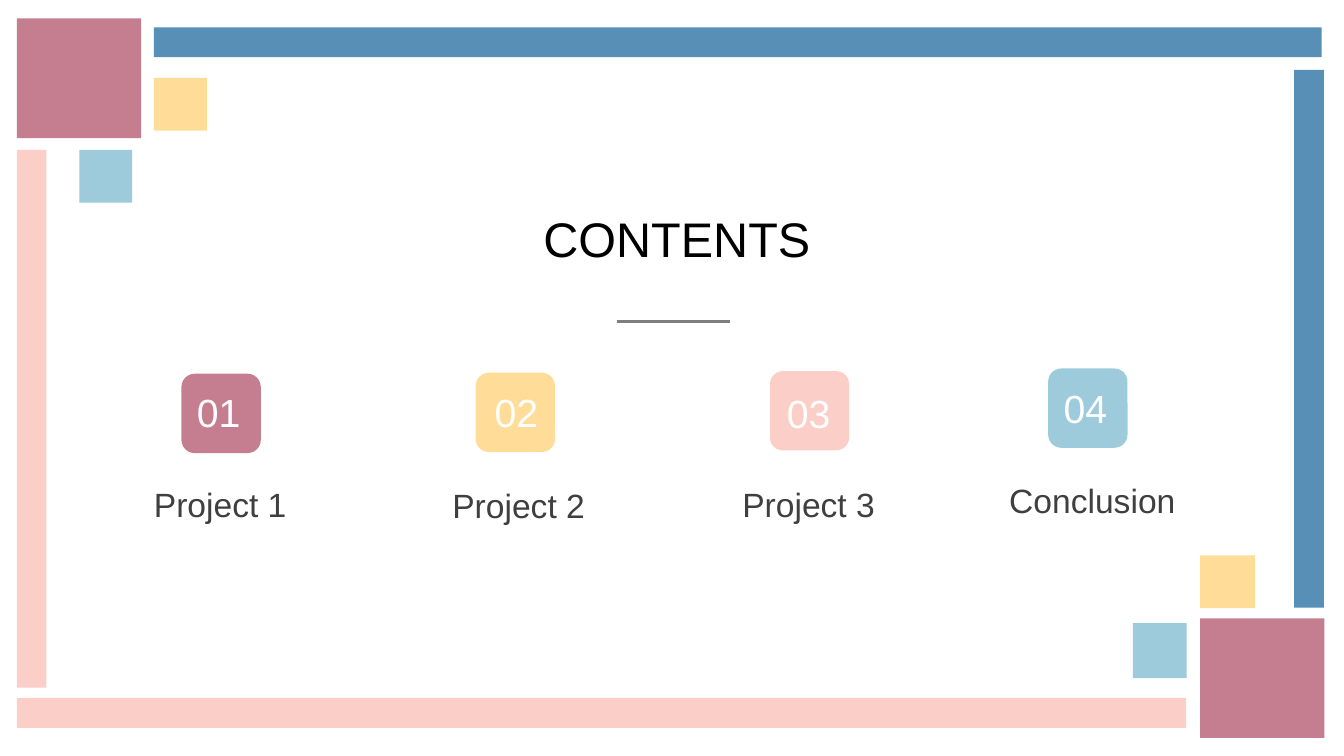
from typing import NamedTuple

from lxml import etree
from pptx import Presentation
from pptx.dml.color import RGBColor
from pptx.enum.shapes import MSO_CONNECTOR, MSO_SHAPE
from pptx.enum.text import MSO_ANCHOR, MSO_AUTO_SIZE, PP_ALIGN
from pptx.oxml.ns import qn
from pptx.util import Cm, Pt

RECT, ROUNDED = MSO_SHAPE.RECTANGLE, MSO_SHAPE.ROUNDED_RECTANGLE
STRAIGHT = MSO_CONNECTOR.STRAIGHT
TOP, NO_FIT = MSO_ANCHOR.TOP, MSO_AUTO_SIZE.NONE
LEFT, CENTER = PP_ALIGN.LEFT, PP_ALIGN.CENTER

ROSE, PINK, BLUE = "C57E90", "FBCEC8", "578FB7"
YELLOW, AQUA = "FFDC97", "9DCBDB"
BLACK, WHITE, DARK, GREY = "000000", "FFFFFF", "3F3F3F", "7F7F7F"
FONT = "Arial"
BADGE = 1.5


class Block(NamedTuple):
    """A coloured rectangle of the frame, in cm."""
    left: float
    top: float
    width: float
    height: float
    color: str


class Entry(NamedTuple):
    """A contents entry; positions are (left, top) in cm."""
    label: str
    color: str
    badge_at: tuple[float, float]
    number_at: tuple[float, float]
    label_at: tuple[float, float]
    label_width: float = 2.95
    align: PP_ALIGN = LEFT


FRAME = [
    # Large corner squares
    Block(0.32, 0.35, 2.35, 2.26, ROSE),
    Block(22.68, 11.68, 2.35, 2.26, ROSE),
    # Bars: left, bottom, right, top
    Block(0.32, 2.83, 0.56, 10.16, PINK),
    Block(0.32, 13.19, 22.1, 0.56, PINK),
    Block(24.46, 1.32, 0.56, 10.16, BLUE),
    Block(2.91, 0.52, 22.07, 0.56, BLUE),
    # Small accent squares
    Block(1.5, 2.83, 1, 1, AQUA),
    Block(22.68, 10.49, 1.04, 1, YELLOW),
    Block(2.91, 1.47, 1, 1, YELLOW),
    Block(21.41, 11.77, 1.02, 1.04, AQUA),
]

ENTRIES = [
    Entry("Project 1", ROSE, (3.43, 7.06), (3.53, 7.24), (2.72, 9.04)),
    Entry("Project 2", YELLOW, (8.99, 7.04), (9.16, 7.24), (8.36, 9.06)),
    Entry("Project 3", PINK, (14.55, 7.01), (14.68, 7.26), (13.84, 9.04)),
    Entry("Conclusion", AQUA, (19.81, 6.96), (19.91, 7.16), (18.42, 8.97),
          4.45, CENTER),
]


def rgb(color: str) -> RGBColor:
    return RGBColor.from_string(color)


def add_block(s, kind: MSO_SHAPE, block: Block):
    sp = s.shapes.add_shape(kind, *(Cm(v) for v in block[:4]))
    sp.shadow.inherit = False
    sp.fill.solid()
    sp.fill.fore_color.rgb = rgb(block.color)
    sp.line.fill.background()
    return sp


def write(sp, text: str, size: float, color: str, align: PP_ALIGN = LEFT) -> None:
    tf = sp.text_frame
    tf.text = text
    tf.word_wrap = True
    tf.auto_size = NO_FIT
    tf.vertical_anchor = TOP
    tf.margin_left = tf.margin_right = Cm(0.19)
    tf.margin_top = tf.margin_bottom = Cm(0.1)
    p = tf.paragraphs[0]
    p.alignment = align
    p.line_spacing = 1.0
    font = p.runs[0].font
    font.name, font.size = FONT, Pt(size)
    font.color.rgb = rgb(color)


def add_entry(s, number: int, entry: Entry) -> None:
    add_block(s, ROUNDED, Block(*entry.badge_at, BADGE, BADGE, entry.color))
    x, y = entry.number_at
    sp = s.shapes.add_textbox(Cm(x), Cm(y), Cm(1.27), Cm(1.09))
    write(sp, f"{number:02d}", 21, WHITE)
    x, y = entry.label_at
    sp = s.shapes.add_textbox(Cm(x), Cm(y), Cm(entry.label_width), Cm(0.97))
    write(sp, entry.label, 18, DARK, entry.align)


def main() -> None:
    prs = Presentation()
    prs.slide_width, prs.slide_height = Cm(25.4), Cm(14.28)
    s = prs.slides.add_slide(prs.slide_layouts[5])
    s.background.fill.solid()
    s.background.fill.fore_color.rgb = rgb(WHITE)

    # Frame
    for block in FRAME:
        add_block(s, RECT, block)

    # Title and rule below it
    title = s.shapes.title
    title.left, title.top = Cm(10.08), Cm(3.84)
    title.width, title.height = Cm(6.78), Cm(1.3)
    write(title, "CONTENTS", 26, BLACK)
    rule = s.shapes.add_connector(STRAIGHT, Cm(11.66), Cm(6.07), Cm(13.79), Cm(6.07))
    rule.line.color.rgb = rgb(GREY)
    rule.line.width = Pt(1.5)
    etree.SubElement(rule._element.spPr, qn("a:effectLst"))

    # Contents entries
    for number, entry in enumerate(ENTRIES, start=1):
        add_entry(s, number, entry)

    prs.save("out.pptx")


if __name__ == "__main__":
    main()
